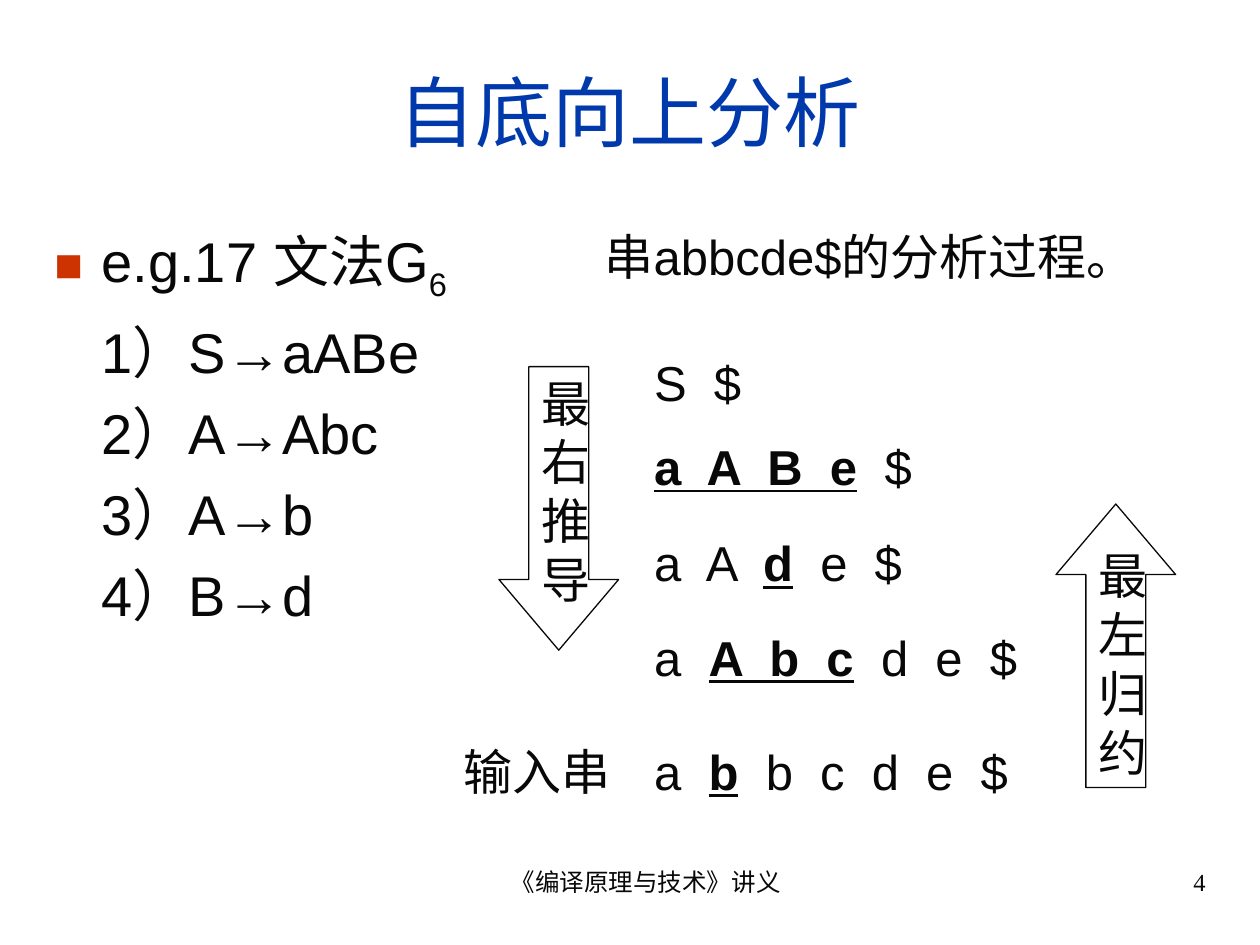
import pptx
import pptx.dml.color
import pptx.enum.shapes
import pptx.enum.text
import pptx.util
from lxml import etree
from pptx.oxml.ns import qn

Pt = pptx.util.Pt
ALIGN = pptx.enum.text.PP_ALIGN
MIDDLE = pptx.enum.text.MSO_ANCHOR.MIDDLE
SHAPE = pptx.enum.shapes.MSO_SHAPE

BLUE, RED, INK = "0039AC", "CC3300", "080808"

TITLE = "自底向上分析"
GRAMMAR = ("e.g.17 文法G", "6")
RULES = ["1）S→aABe", "2）A→Abc", "3）A→b", "4）B→d"]
TASK = "串abbcde$的分析过程。"
# top, label, symbols before the handle, handle, symbols after it
DERIVATION = [
    (198, "", "S $", "", ""),
    (246, "", "", "a A B e", " $"),
    (301, "", "a A ", "d", " e $"),
    (355, "", "a ", "A b c", " d e $"),
    (420, "输入串", "a ", "b", " b c d e $"),
]
ARROWS = [
    (SHAPE.UP_ARROW, 603.4, 288, "最左归约"),
    (SHAPE.DOWN_ARROW, 285.1, 209.5, "最右推导"),
]
FOOTERS = [
    (263.5, 211, "《编译原理与技术》讲义", ALIGN.CENTER),
    (516, 180, "4", ALIGN.RIGHT),
]
SYMBOL_START = 108.7  # tab stop of the symbol column
SYMBOL_SPACING = 390  # hundredths of a point


def color(value):
    return pptx.dml.color.RGBColor.from_string(value)


def style(span, size, font="Arial", ink=INK):
    span.font.size = Pt(size)
    span.font.name = font
    span.font.color.rgb = color(ink)


def add_span(para, text, size=28):
    span = para.add_run()
    span.text = text
    style(span, size)
    return span


def add_box(left, top, width, height):
    box = page.shapes.add_textbox(Pt(left), Pt(top), Pt(width), Pt(height))
    box.text_frame.word_wrap = True
    return box.text_frame


def add_child(parent, tag, **attributes):
    return etree.SubElement(parent, qn(tag), attributes)


deck = pptx.Presentation()
deck.slide_width, deck.slide_height = Pt(720), Pt(540)
page = deck.slides.add_slide(deck.slide_layouts[5])

title = page.shapes.title
title.left, title.top, title.width, title.height = Pt(24), Pt(18), Pt(672), Pt(90)
title.text_frame.text = TITLE
title.text_frame.vertical_anchor = MIDDLE
title.text_frame.paragraphs[0].alignment = ALIGN.CENTER
style(title.text_frame.paragraphs[0].runs[0], 44, ink=BLUE)

# Grammar: a bulleted heading and its rules
grammar = add_box(24, 126, 240.5, 354)
heading = grammar.paragraphs[0]
properties = heading._p.get_or_add_pPr()
properties.set("indent", str(-Pt(27)))
add_child(add_child(properties, "a:buClr"), "a:srgbClr", val=RED)
add_child(properties, "a:buSzPct", val="85000")
add_child(properties, "a:buFont", typeface="Arial")
add_child(properties, "a:buChar", char="■")
add_span(heading, GRAMMAR[0], 32)
subscript = add_span(heading, GRAMMAR[1], 32)
subscript.font._element.set("baseline", "-25000")
for rule in RULES:
    para = grammar.add_paragraph()
    para.space_before = Pt(8)
    add_span(para, rule, 32)
for para in grammar.paragraphs:
    para._p.get_or_add_pPr().set("marL", str(Pt(27)))

add_span(add_box(338.5, 126, 340, 41).paragraphs[0], TASK)

for top, label, before, handle, after in DERIVATION:
    para = add_box(258, top, 354, 41).paragraphs[0]
    tabs = add_child(para._p.get_or_add_pPr(), "a:tabLst")
    add_child(tabs, "a:tab", pos=str(Pt(SYMBOL_START)), algn="l")
    add_span(para, label + "\t")
    for symbols in filter(None, (before, handle, after)):
        span = add_span(para, symbols)
        span.font._element.set("spc", str(SYMBOL_SPACING))
        if symbols == handle:
            span.font.bold = span.font.underline = True

for kind, left, top, text in ARROWS:
    arrow = page.shapes.add_shape(kind, Pt(left), Pt(top), Pt(68.4), Pt(162))
    arrow.adjustments[0], arrow.adjustments[1] = 0.5, 0.59
    arrow.shadow.inherit = False
    arrow.fill.background()
    arrow.line.color.rgb = color(INK)
    arrow.line.width = Pt(0.75)
    arrow.text_frame.word_wrap = True
    arrow.text_frame.vertical_anchor = MIDDLE
    para = arrow.text_frame.paragraphs[0]
    para.alignment = ALIGN.CENTER
    add_span(para, text)

for left, width, text, alignment in FOOTERS:
    para = add_box(left, 492, width, 37).paragraphs[0]
    para.text = text
    para.alignment = alignment
    style(para.runs[0], 14, "Times New Roman")

deck.save("out.pptx")
